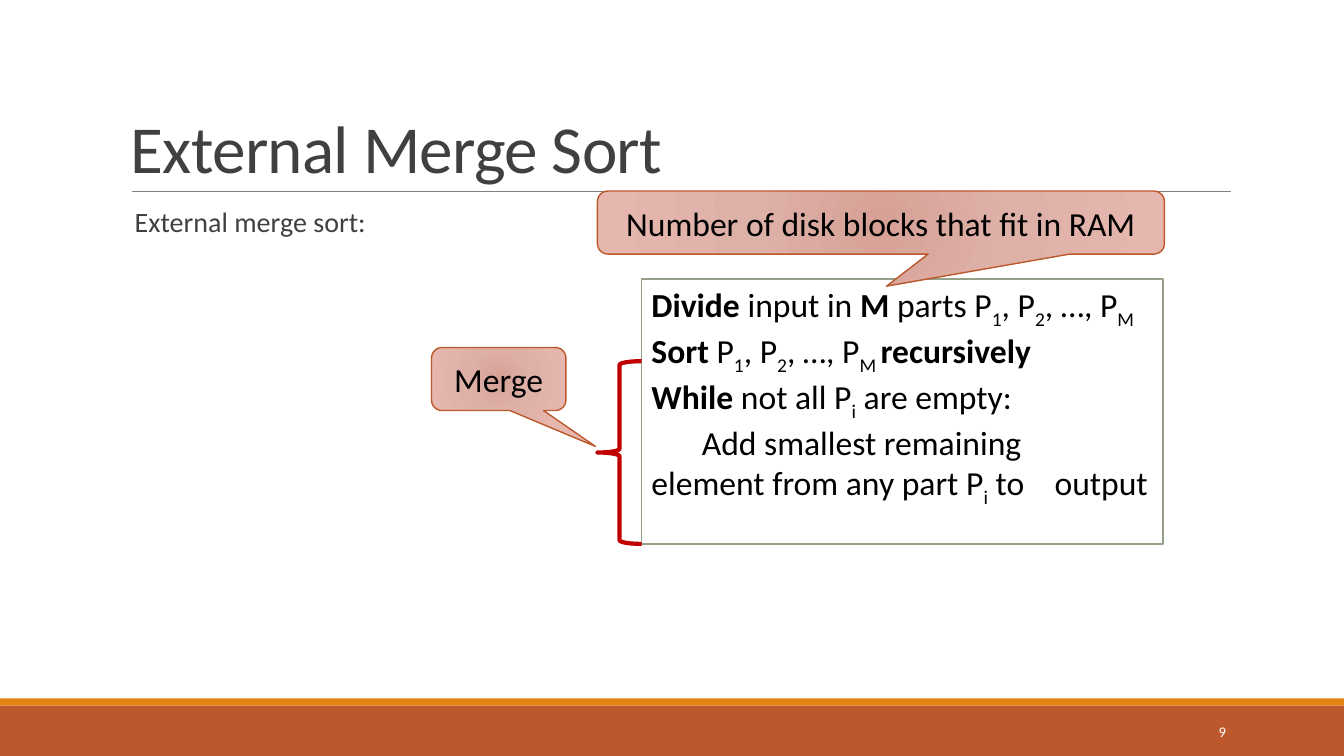
import lxml.etree
import pptx
import pptx.dml.color
import pptx.enum.shapes
import pptx.enum.text
import pptx.oxml
import pptx.oxml.ns
import pptx.util

PX = 9525
FONT = "Calibri"
COLORS = {
    "title": "404040", "text": "000000", "white": "FFFFFF", "rule": "808080",
    "rust": "BD582C", "orange": "E48312", "sage": "94A088", "red": "C00000",
}
CALLOUT_STOPS = {0: "D7A197", 45: "DEB1A8", 100: "E6B7AE"}
SHAPES = pptx.enum.shapes.MSO_SHAPE
ALIGN = pptx.enum.text.PP_ALIGN
ANCHOR = pptx.enum.text.MSO_ANCHOR
NS = pptx.oxml.ns.nsdecls("a")

# Each line of the algorithm is a list of (text, style) spans.
ALGORITHM = [
    [("Divide", "bold"), (" input in ", ""), ("M", "bold"), (" parts P", ""), ("1", "sub"),
     (", P", ""), ("2", "sub"), (", …, P", ""), ("M", "sub")],
    [("Sort", "bold"), (" P", ""), ("1", "sub"), (", P", ""), ("2", "sub"),
     (", …, P", ""), ("M ", "sub"), ("recursively", "bold")],
    [("While", "bold"), (" not all P", ""), ("i", "sub"), (" are empty:", "")],
    [("\tAdd smallest remaining \telement from any part P", ""), ("i", "sub"),
     (" to \toutput", "")],
]


def px(*lengths):
    return [length * PX for length in lengths]


def rgb(name):
    return pptx.dml.color.RGBColor.from_string(COLORS[name])


def add_text(para, text, size=24, color="text", style="", spacing=None):
    span = para.add_run()
    span.text = text
    span.font.name = FONT
    span.font.size = pptx.util.Pt(size)
    span.font.bold = style == "bold"
    span.font.color.rgb = rgb(color)
    if style == "sub":
        span.font._element.set("baseline", "-25000")
    if spacing:
        span.font._element.set("spc", str(spacing))


def add_box(page, box, anchor=ANCHOR.TOP):
    """Add a wrapping text box and return its frame."""
    frame = page.shapes.add_textbox(*px(*box)).text_frame
    frame.word_wrap = True
    frame.vertical_anchor = anchor
    return frame


def add_shape(page, kind, box, fill=None, line=None, width=1):
    shape = page.shapes.add_shape(kind, *px(*box))
    shape.shadow.inherit = False
    if fill:
        shape.fill.solid()
        shape.fill.fore_color.rgb = rgb(fill)
    else:
        shape.fill.background()
    if line:
        shape.line.color.rgb = rgb(line)
        shape.line.width = pptx.util.Pt(width)
    else:
        shape.line.fill.background()
    return shape


def add_header(page, box):
    """Place the title above a thin rule at the bottom of the box."""
    left, top, width, height = box
    para = add_box(page, box, ANCHOR.BOTTOM).paragraphs[0]
    para.line_spacing = 0.85
    add_text(para, "External Merge Sort", size=48, color="title", spacing=-50)
    rule_y = top + height - 1
    rule = page.shapes.add_connector(
        pptx.enum.shapes.MSO_CONNECTOR.STRAIGHT,
        *px(left + 11, rule_y, left + width + 1, rule_y))
    rule.line.color.rgb = rgb("rule")
    rule.line.width = pptx.util.Pt(0.5)
    properties = rule._element.spPr
    lxml.etree.SubElement(properties, pptx.oxml.ns.qn("a:effectLst"))


def add_body(page, box):
    frame = add_box(page, box)
    frame.margin_left = frame.margin_right = 0
    para = frame.paragraphs[0]
    para.line_spacing = 0.9
    para.space_after = pptx.util.Pt(2)
    properties = para._p.get_or_add_pPr()
    properties.set("marL", "91440")
    properties.set("indent", "-91440")
    properties.append(pptx.oxml.parse_xml(f'<a:buChar {NS} char=" "/>'))
    add_text(para, "External merge sort:", size=20, color="title")


def add_footer(page, box):
    left, top, width, height = box
    strip = 7
    add_shape(page, SHAPES.RECTANGLE, (left, top + strip, width, height - strip), "rust")
    add_shape(page, SHAPES.RECTANGLE, (left, top, width, strip), "orange")
    para = add_box(page, (left + width - 240, top + 13, 137, 38), ANCHOR.MIDDLE).paragraphs[0]
    para.alignment = ALIGN.RIGHT
    add_text(para, "9", size=10.5, color="white")


def add_algorithm(page, box):
    """Place the pseudocode and the brace that marks its merge steps."""
    left, top, width, height = box
    frame = add_shape(page, SHAPES.RECTANGLE, box, "white", "sage", 1.25).text_frame
    frame.word_wrap = True
    frame.vertical_anchor = ANCHOR.TOP
    for number, spans in enumerate(ALGORITHM):
        para = frame.add_paragraph() if number else frame.paragraphs[0]
        para.alignment = ALIGN.LEFT
        para._p.get_or_add_pPr().append(pptx.oxml.parse_xml(
            f'<a:tabLst {NS}><a:tab pos="457200" algn="l"/>'
            '<a:tab pos="3657600" algn="l"/></a:tabLst>'))
        for text, style in spans:
            add_text(para, text, style=style)
    brace_top = top + 78
    add_shape(page, SHAPES.LEFT_BRACE,
              (left - 42, brace_top, 42, top + height - brace_top), line="red", width=3)


def add_callout(page, box, text, pointer):
    """Place a shaded callout; pointer is the tip's offset as a share of the box."""
    callout = add_shape(page, SHAPES.ROUNDED_RECTANGULAR_CALLOUT, box, line="rust")
    callout.adjustments[0], callout.adjustments[1] = pointer
    stops = "".join(f'<a:gs pos="{share * 1000}"><a:srgbClr val="{color}"/></a:gs>'
                    for share, color in CALLOUT_STOPS.items())
    gradient = pptx.oxml.parse_xml(
        f'<a:gradFill {NS}><a:gsLst>{stops}</a:gsLst><a:path path="circle">'
        '<a:fillToRect l="100000" t="100000" r="100000" b="100000"/></a:path></a:gradFill>')
    properties = callout._element.spPr
    properties.replace(properties.find(pptx.oxml.ns.qn("a:noFill")), gradient)
    frame = callout.text_frame
    frame.word_wrap = True
    frame.vertical_anchor = ANCHOR.MIDDLE
    para = frame.paragraphs[0]
    para.alignment = ALIGN.CENTER
    add_text(para, text)


def main():
    deck = pptx.Presentation()
    deck.slide_width, deck.slide_height = px(1280, 720)
    page = deck.slides.add_slide(deck.slide_layouts[6])
    add_footer(page, (0, 665, 1280, 55))
    add_header(page, (115, 30, 1056, 153))
    add_body(page, (115, 194, 1056, 422))
    add_algorithm(page, (611, 266, 497, 252))
    add_callout(page, (411, 331, 128, 60), "Merge", (0.72, 1.07))
    add_callout(page, (569, 182, 540, 60), "Number of disk blocks that fit in RAM", (0.01, 1.01))
    deck.save("out.pptx")


if __name__ == "__main__":
    main()
